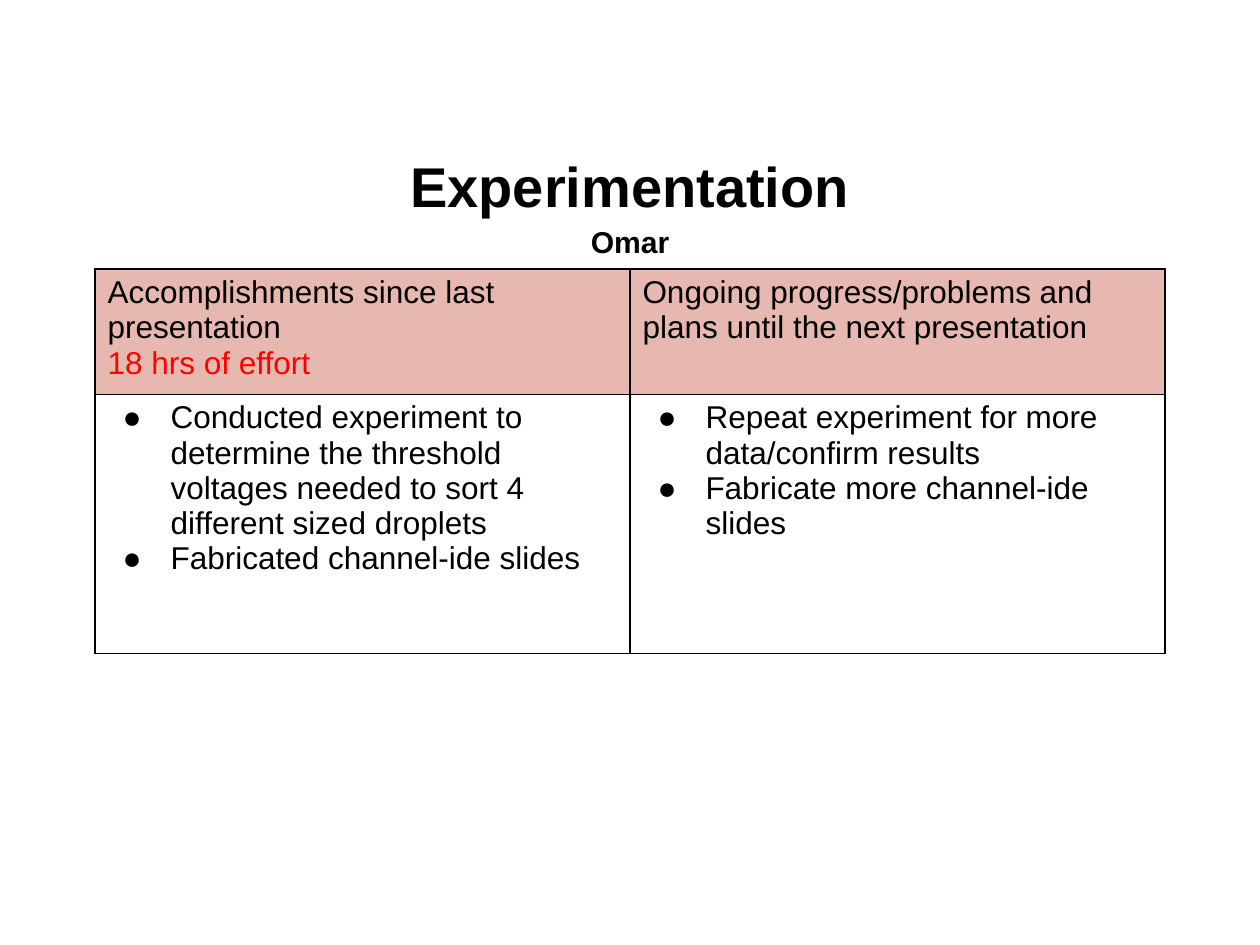
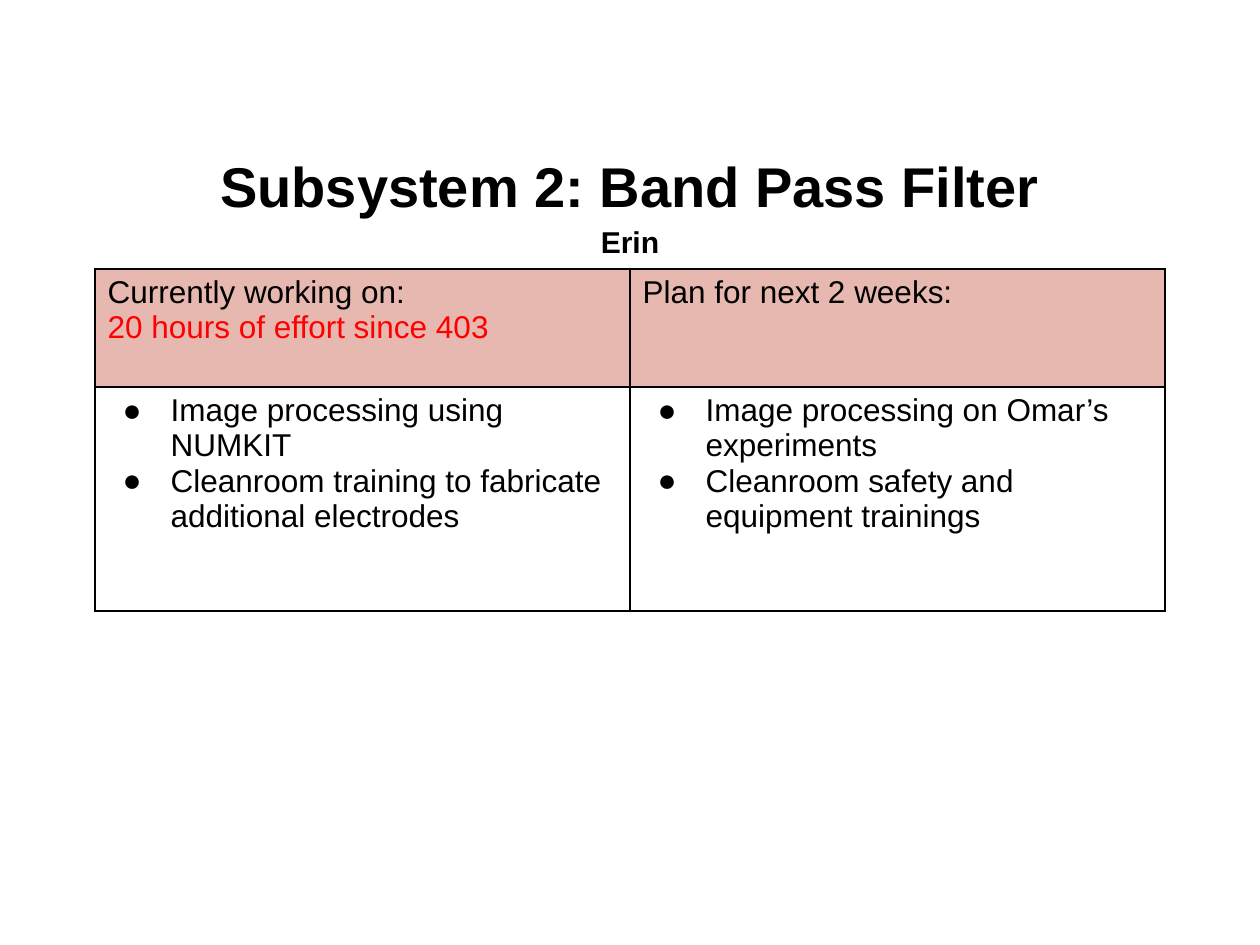
from lxml.etree import SubElement
from pptx import Presentation
from pptx.dml.color import RGBColor
from pptx.enum.text import MSO_ANCHOR, PP_ALIGN
from pptx.oxml import parse_xml
from pptx.oxml.ns import nsdecls, qn
from pptx.util import Pt

# Shared style
SCALE = 914400 / 126
FONT = "Arial"
BLACK = RGBColor(0x00, 0x00, 0x00)
RED = RGBColor(0xFF, 0x00, 0x00)
ROSE = RGBColor(0xE6, 0xB8, 0xAF)

# Table layout in px
LEFT, TOP = 95, 269
COL = 535
HEAD = 118
PAD = 6
INDENT, HANG = 63, 48

# Title, name, header cells, bullet cells, height of the bullet row
REPORTS = [
    ("Experimentation", "Omar",
     [["Accomplishments since last presentation", "18 hrs of effort"],
      ["Ongoing progress/problems and plans until the next presentation"]],
     [["Conducted experiment to determine the threshold voltages needed "
       "to sort 4 different sized droplets",
       "Fabricated channel-ide slides"],
      ["Repeat experiment for more data/confirm results",
       "Fabricate more channel-ide slides"]],
     259),
    ("Subsystem 2: Band Pass Filter", "Erin",
     [["Currently working on:", "20 hours of effort since 403"],
      ["Plan for next 2 weeks:"]],
     [["Image processing using NUMKIT",
       "Cleanroom training to fabricate additional electrodes"],
      ["Image processing on Omar’s experiments",
       "Cleanroom safety and equipment trainings"]],
     224),
]


def px(n):
    return round(n * SCALE)


def add_run(para, text, size, color=BLACK, bold=False):
    run = para.add_run()
    run.text = text
    font = run.font
    font.name, font.size, font.bold = FONT, Pt(size), bold
    font.color.rgb = color


def add_paras(frame, count):
    """Return the first paragraph and as many more as are needed."""
    return [frame.paragraphs[0]] + [frame.add_paragraph()
                                    for _ in range(count - 1)]


def add_title(slide, title, name):
    frame = slide.shapes.add_textbox(px(63), px(145), px(1134),
                                     px(111)).text_frame
    frame.word_wrap = True
    frame.vertical_anchor = MSO_ANCHOR.MIDDLE
    lines = [(title, 32), (name, 17.2)]
    for para, (text, size) in zip(add_paras(frame, 2), lines):
        para.alignment = PP_ALIGN.CENTER
        para.line_spacing = 1.15
        add_run(para, text, size, bold=True)


def add_bullet(para):
    props = para._p.get_or_add_pPr()
    props.set("marL", str(px(INDENT)))
    props.set("indent", str(-px(HANG)))
    color = SubElement(props, qn("a:buClr"))
    SubElement(color, qn("a:srgbClr"), val=str(BLACK))
    SubElement(props, qn("a:buFont"), typeface=FONT)
    SubElement(props, qn("a:buChar"), char="●")


def add_border(cell):
    props = cell._tc.get_or_add_tcPr()
    for i, side in enumerate("LRTB"):
        props.insert(i, parse_xml(
            f'<a:ln{side} {nsdecls("a")} w="{Pt(1)}"><a:solidFill>'
            f'<a:srgbClr val="{BLACK}"/></a:solidFill></a:ln{side}>'))


def fill_head(cell, lines):
    cell.fill.solid()
    cell.fill.fore_color.rgb = ROSE
    paras = add_paras(cell.text_frame, len(lines))
    for para, text, color in zip(paras, lines, (BLACK, RED)):
        add_run(para, text, 18, color)


def fill_list(cell, items):
    cell.fill.background()
    for para, text in zip(add_paras(cell.text_frame, len(items)), items):
        add_bullet(para)
        add_run(para, text, 18)


def add_grid(slide, heads, lists, depth):
    table = slide.shapes.add_table(2, 2, px(LEFT), px(TOP), px(2 * COL),
                                   px(HEAD + depth)).table
    table.first_row = table.horz_banding = False
    table.rows[0].height, table.rows[1].height = px(HEAD), px(depth)
    for i, (head, items) in enumerate(zip(heads, lists)):
        table.columns[i].width = px(COL)
        fill_head(table.cell(0, i), head)
        fill_list(table.cell(1, i), items)
    for cell in table.iter_cells():
        cell.margin_top = cell.margin_bottom = px(PAD)
        add_border(cell)


def main():
    deck = Presentation()
    deck.slide_width, deck.slide_height = px(1260), px(945)
    for title, name, heads, lists, depth in REPORTS:
        slide = deck.slides.add_slide(deck.slide_layouts[6])
        add_title(slide, title, name)
        add_grid(slide, heads, lists, depth)
    deck.save("out.pptx")


if __name__ == "__main__":
    main()
